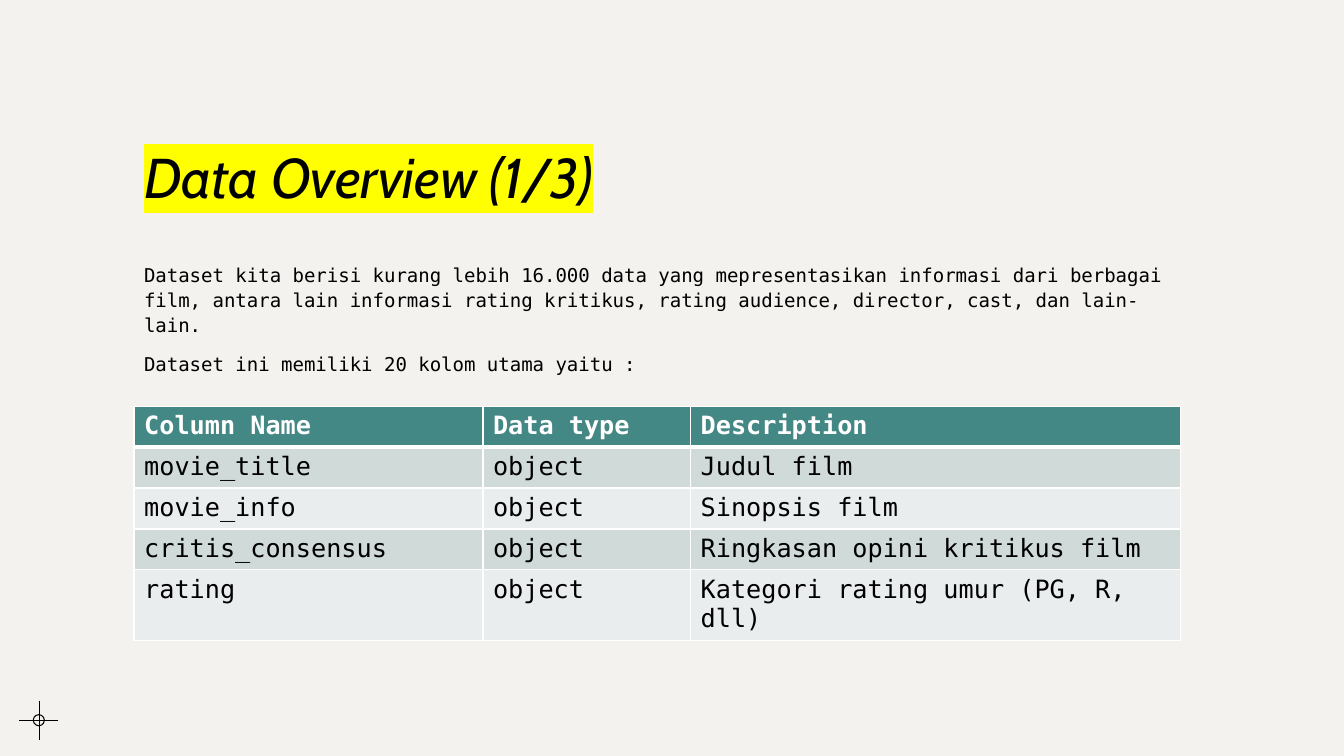
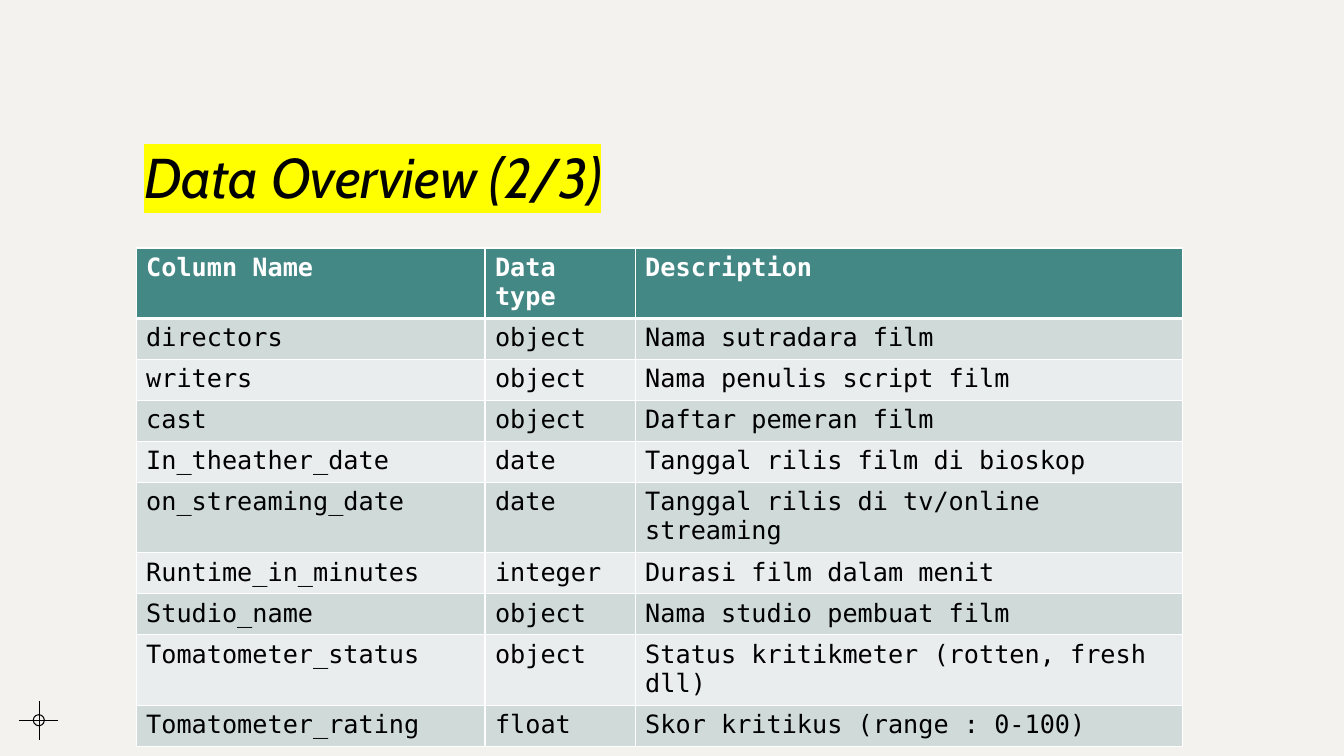
from dataclasses import dataclass

from lxml.etree import SubElement
from pptx import Presentation
from pptx.dml.color import RGBColor as RGB
from pptx.enum.shapes import MSO_CONNECTOR as CONN, MSO_SHAPE as SHAPE
from pptx.enum.text import MSO_ANCHOR as ANCHOR
from pptx.oxml.ns import qn
from pptx.slide import Slide
from pptx.util import Inches, Pt

COLORS = {
    "paper": "F3F2EE",
    "ink": "000000",
    "white": "FFFFFF",
    "marker": "FFFF00",
    "header": "448885",
    "band_dark": "CFDAD9",
    "band_light": "E9EDED",
}
TITLE_FONT = "Cabin"
BODY_FONT = "DejaVu Sans Mono"
LEFT, WIDTH = 1.33, 10.38
HEADINGS = ("Column Name", "Data type", "Description")


@dataclass
class DataTable:
    left: float
    top: float
    height: float
    widths: tuple[float, ...]
    rows: list[tuple[str, str, str]]


@dataclass
class Page:
    title: str
    intro: list[str]
    table: DataTable


PAGES = [
    Page(
        "Data Overview (1/3)",
        [
            "Dataset kita berisi kurang lebih 16.000 data yang mepresentasikan "
            "informasi dari berbagai film, antara lain informasi rating kritikus, "
            "rating audience, director, cast, dan lain-lain.",
            "Dataset ini memiliki 20 kolom utama yaitu :",
        ],
        DataTable(1.33, 4.03, 2.03, (3.46, 2.06, 4.86), [
            ("movie_title", "object", "Judul film"),
            ("movie_info", "object", "Sinopsis film"),
            ("critis_consensus", "object", "Ringkasan opini kritikus film"),
            ("rating", "object", "Kategori rating umur (PG, R, dll)"),
        ]),
    ),
    Page(
        "Data Overview (2/3)",
        [],
        DataTable(1.35, 2.46, 4.06, (3.46, 1.49, 5.43), [
            ("directors", "object", "Nama sutradara film"),
            ("writers", "object", "Nama penulis script film"),
            ("cast", "object", "Daftar pemeran film"),
            ("In_theather_date", "date", "Tanggal rilis film di bioskop"),
            ("on_streaming_date", "date", "Tanggal rilis di tv/online streaming"),
            ("Runtime_in_minutes", "integer", "Durasi film dalam menit"),
            ("Studio_name", "object", "Nama studio pembuat film"),
            ("Tomatometer_status", "object", "Status kritikmeter (rotten, fresh dll)"),
            ("Tomatometer_rating", "float", "Skor kritikus (range : 0-100)"),
        ]),
    ),
]


def rgb(name: str) -> RGB:
    return RGB.from_string(COLORS[name])


def add_run(p, text: str, size: float, font: str, color: str = "ink",
            bold: bool = False, italic: bool = False, highlight: str = "") -> None:
    r = p.add_run()
    r.text = text
    r.font.size = Pt(size)
    r.font.bold = bold
    r.font.italic = italic
    r.font.color.rgb = rgb(color)
    if highlight:
        mark = SubElement(r.font._element, qn("a:highlight"))
        SubElement(mark, qn("a:srgbClr"), val=COLORS[highlight])
    r.font.name = font


def add_text_frame(s: Slide, top: float, height: float, anchor: ANCHOR):
    box = s.shapes.add_textbox(Inches(LEFT), Inches(top), Inches(WIDTH), Inches(height))
    tf = box.text_frame
    tf.word_wrap = True
    tf.vertical_anchor = anchor
    return tf


def add_title(s: Slide, text: str) -> None:
    p = add_text_frame(s, 0.4, 1.73, ANCHOR.BOTTOM).paragraphs[0]
    p.line_spacing = 1.2
    add_run(p, text, 40, TITLE_FONT, italic=True, highlight="marker")


def add_intro(s: Slide, paragraphs: list[str]) -> None:
    tf = add_text_frame(s, 2.54, 1.21, ANCHOR.TOP)
    for i, text in enumerate(paragraphs):
        p = tf.add_paragraph() if i else tf.paragraphs[0]
        p.line_spacing = 1.1
        p.space_before = Pt(10 if i else 0)
        add_run(p, text, 13.6, BODY_FONT)


def add_crosshair(s: Slide) -> None:
    group = s.shapes.add_group_shape().shapes
    for x1, y1, x2, y2 in ((0.19, 7.15, 0.58, 7.15), (0.39, 7.34, 0.39, 6.95)):
        line = group.add_connector(CONN.STRAIGHT, Inches(x1), Inches(y1),
                                   Inches(x2), Inches(y2))
        line.line.color.rgb = rgb("ink")
        line.line.width = Pt(0.75)
        SubElement(line._element.spPr, qn("a:effectLst"))
    ring = group.add_shape(SHAPE.OVAL, Inches(0.33), Inches(7.09),
                           Inches(0.11), Inches(0.11))
    ring.shadow.inherit = False
    ring.fill.background()
    ring.line.color.rgb = rgb("ink")
    ring.line.width = Pt(0.75)


def set_borders(cell, top: float, bottom: float) -> None:
    tc_pr = cell._tc.get_or_add_tcPr()
    for side, width in (("L", 1), ("R", 1), ("T", top), ("B", bottom)):
        ln = SubElement(tc_pr, qn(f"a:ln{side}"), w=str(Pt(width)))
        fill = SubElement(ln, qn("a:solidFill"))
        SubElement(fill, qn("a:srgbClr"), val=COLORS["white"])


def add_data_table(s: Slide, spec: DataTable) -> None:
    rows = [HEADINGS, *spec.rows]
    table = s.shapes.add_table(len(rows), len(HEADINGS), Inches(spec.left),
                               Inches(spec.top), Inches(WIDTH),
                               Inches(spec.height)).table
    for column, width in zip(table.columns, spec.widths):
        column.width = Inches(width)
    for i, row in enumerate(rows):
        is_head = i == 0
        fill = "header" if is_head else "band_dark" if i % 2 else "band_light"
        for j, text in enumerate(row):
            cell = table.cell(i, j)
            # The heavy rule lies between the header and the first row
            set_borders(cell, 3 if i == 1 else 1, 3 if is_head else 1)
            cell.fill.solid()
            cell.fill.fore_color.rgb = rgb(fill)
            add_run(cell.text_frame.paragraphs[0], text, 18, BODY_FONT,
                    "white" if is_head else "ink", bold=is_head)


def main() -> None:
    prs = Presentation()
    prs.slide_width, prs.slide_height = Inches(13.33), Inches(7.5)
    # Shared background
    background = prs.slide_master.background.fill
    background.solid()
    background.fore_color.rgb = rgb("paper")
    # Slides
    for page in PAGES:
        s = prs.slides.add_slide(prs.slide_layouts[6])
        add_crosshair(s)
        add_title(s, page.title)
        if page.intro:
            add_intro(s, page.intro)
        add_data_table(s, page.table)
    prs.save("out.pptx")


if __name__ == "__main__":
    main()
